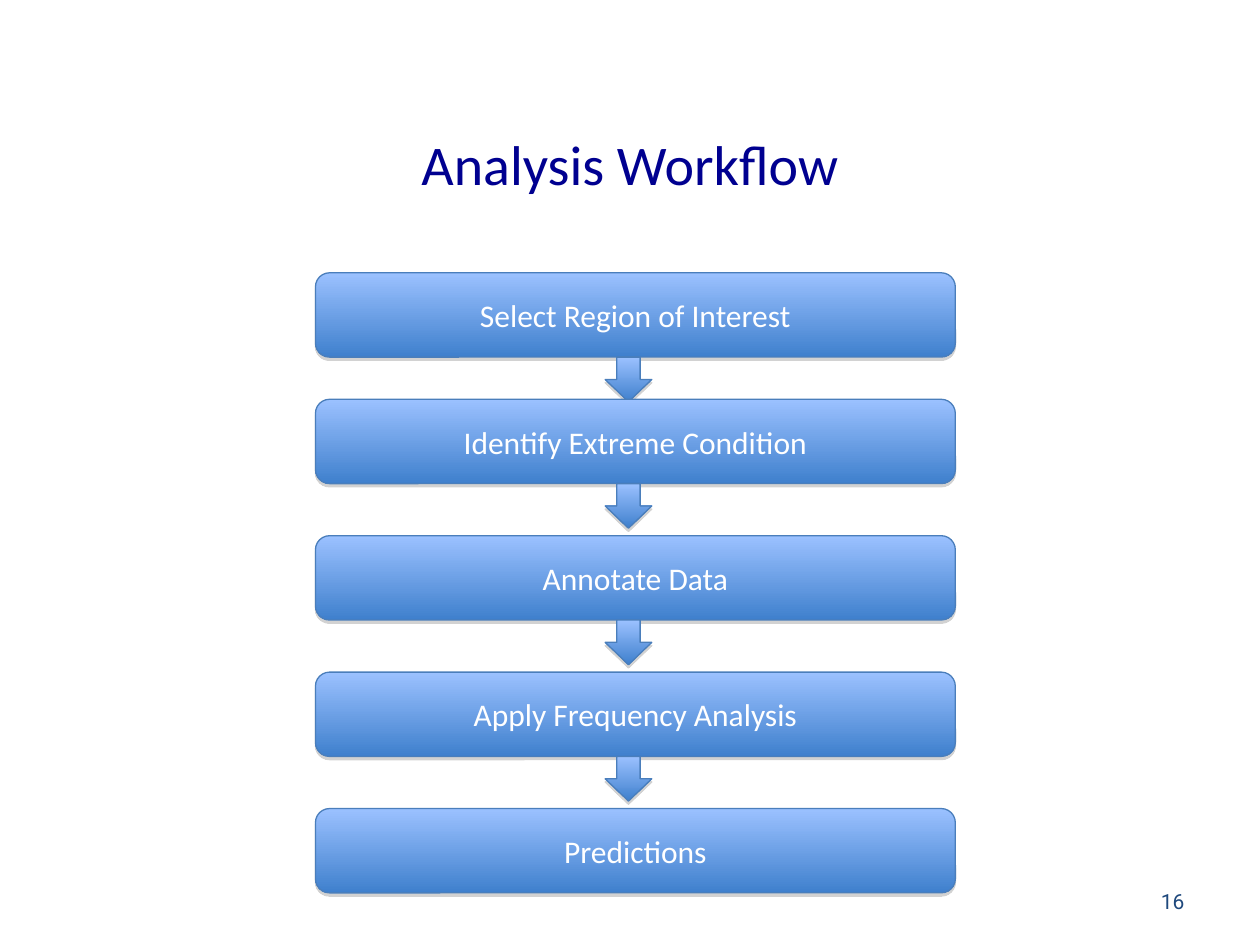
from lxml import etree
from pptx import Presentation
from pptx.dml.color import RGBColor
from pptx.enum.shapes import MSO_SHAPE
from pptx.enum.text import MSO_ANCHOR, PP_ALIGN
from pptx.oxml.ns import qn
from pptx.util import Cm, Pt

ROUNDED = MSO_SHAPE.ROUNDED_RECTANGLE
DOWN_ARROW = MSO_SHAPE.DOWN_ARROW
MIDDLE = MSO_ANCHOR.MIDDLE
CENTER, RIGHT = PP_ALIGN.CENTER, PP_ALIGN.RIGHT

NAVY = RGBColor(0x00, 0x00, 0x90)
SLATE = RGBColor(0x1F, 0x49, 0x7D)
WHITE = RGBColor(0xFF, 0xFF, 0xFF)
LIGHT_BLUE = RGBColor(0x9B, 0xC1, 0xFF)
DEEP_BLUE = RGBColor(0x3F, 0x80, 0xCD)
EDGE_BLUE = RGBColor(0x4A, 0x7E, 0xBB)
SHADOW_GRAY = RGBColor(0x80, 0x80, 0x80)

TITLE = "Analysis Workflow"
PAGE_NUMBER = "16"
STEPS = [
    "Select Region of Interest",
    "Identify Extreme Condition",
    "Annotate Data",
    "Apply Frequency Analysis",
    "Predictions",
]

STEP_LEFT, STEP_WIDTH, STEP_HEIGHT = 6.36, 12.9, 1.7
FIRST_TOP, SECOND_TOP, STEP_PITCH = 5.5, 8.05, 2.75
ARROW_LEFT, ARROW_WIDTH, ARROW_HEIGHT = 12.2, 0.94, 0.9


def write_text(shape, text, font_name, size, color, alignment):
    frame = shape.text_frame
    frame.word_wrap = True
    frame.vertical_anchor = MIDDLE
    paragraph = frame.paragraphs[0]
    paragraph.text = text
    paragraph.alignment = alignment
    paragraph.font.name = font_name
    paragraph.font.size = Pt(size)
    paragraph.font.color.rgb = color


def add_shadow(shape):
    shape.shadow.inherit = False
    effects = shape.element.spPr.find(qn("a:effectLst"))
    shadow = etree.SubElement(effects, qn("a:outerShdw"), blurRad="0",
                              dist=str(Pt(1.8)), dir="5400000", rotWithShape="0")
    color = etree.SubElement(shadow, qn("a:srgbClr"), val=str(SHADOW_GRAY))
    etree.SubElement(color, qn("a:alpha"), val="35000")


def add_block(slide, kind, left, top, width, height):
    shape = slide.shapes.add_shape(kind, Cm(left), Cm(top), Cm(width), Cm(height))
    shape.fill.gradient()
    shape.fill.gradient_angle = 270
    for stop, color in zip(shape.fill.gradient_stops, (LIGHT_BLUE, DEEP_BLUE)):
        stop.color.rgb = color
    shape.line.color.rgb = EDGE_BLUE
    shape.line.width = Pt(0.75)
    add_shadow(shape)
    return shape


def main():
    presentation = Presentation()
    presentation.slide_width, presentation.slide_height = Cm(25.4), Cm(19.05)
    slide = presentation.slides.add_slide(presentation.slide_layouts[5])

    title = slide.shapes.title
    title.left, title.top, title.width, title.height = Cm(1.27), Cm(2.33), Cm(22.86), Cm(1.9)
    write_text(title, TITLE, "Calibri", 32, NAVY, CENTER)

    page_number = slide.shapes.add_textbox(Cm(18.2), Cm(17.65), Cm(5.93), Cm(1.02))
    write_text(page_number, PAGE_NUMBER, "Roboto", 12, SLATE, RIGHT)

    for index, step in enumerate(STEPS):
        top = SECOND_TOP + (index - 1) * STEP_PITCH if index else FIRST_TOP
        box = add_block(slide, ROUNDED, STEP_LEFT, top, STEP_WIDTH, STEP_HEIGHT)
        write_text(box, step, "Calibri", 18, WHITE, CENTER)
        if index < len(STEPS) - 1:
            add_block(slide, DOWN_ARROW, ARROW_LEFT, top + STEP_HEIGHT, ARROW_WIDTH, ARROW_HEIGHT)

    presentation.save("out.pptx")


if __name__ == "__main__":
    main()
